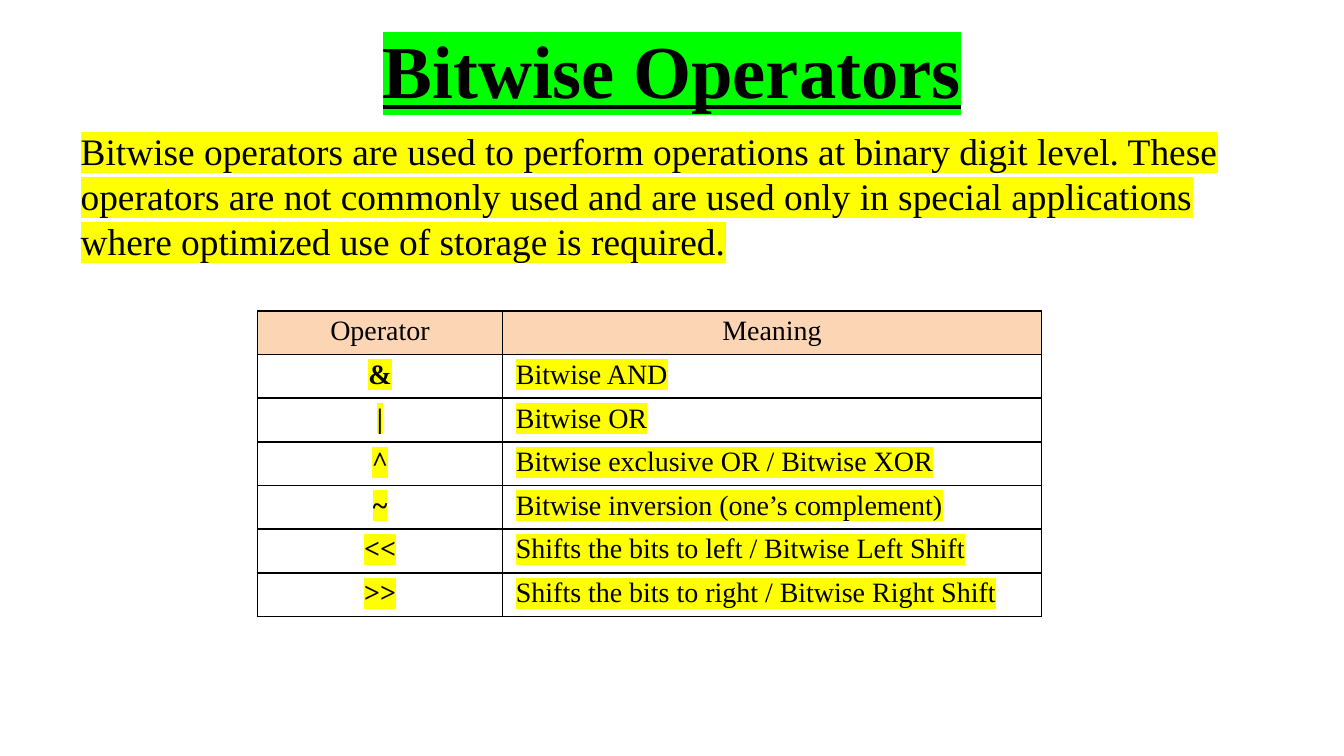
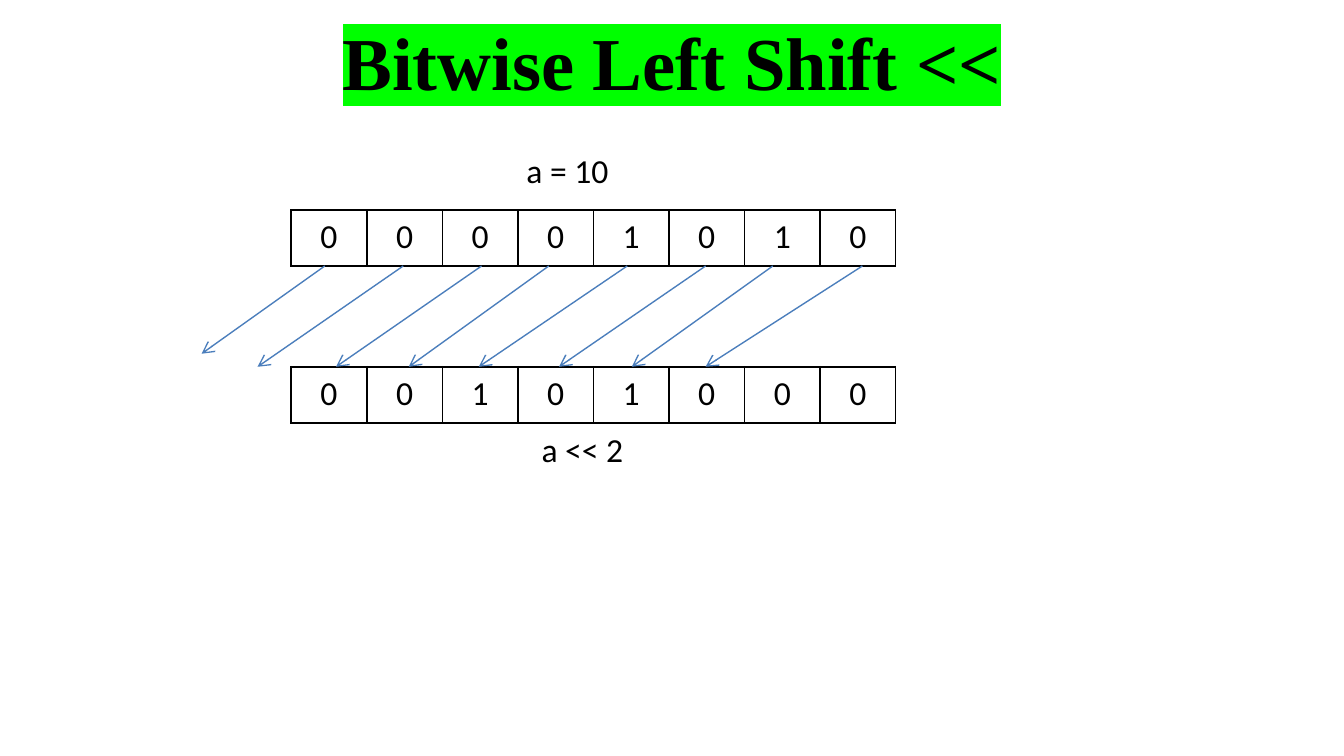
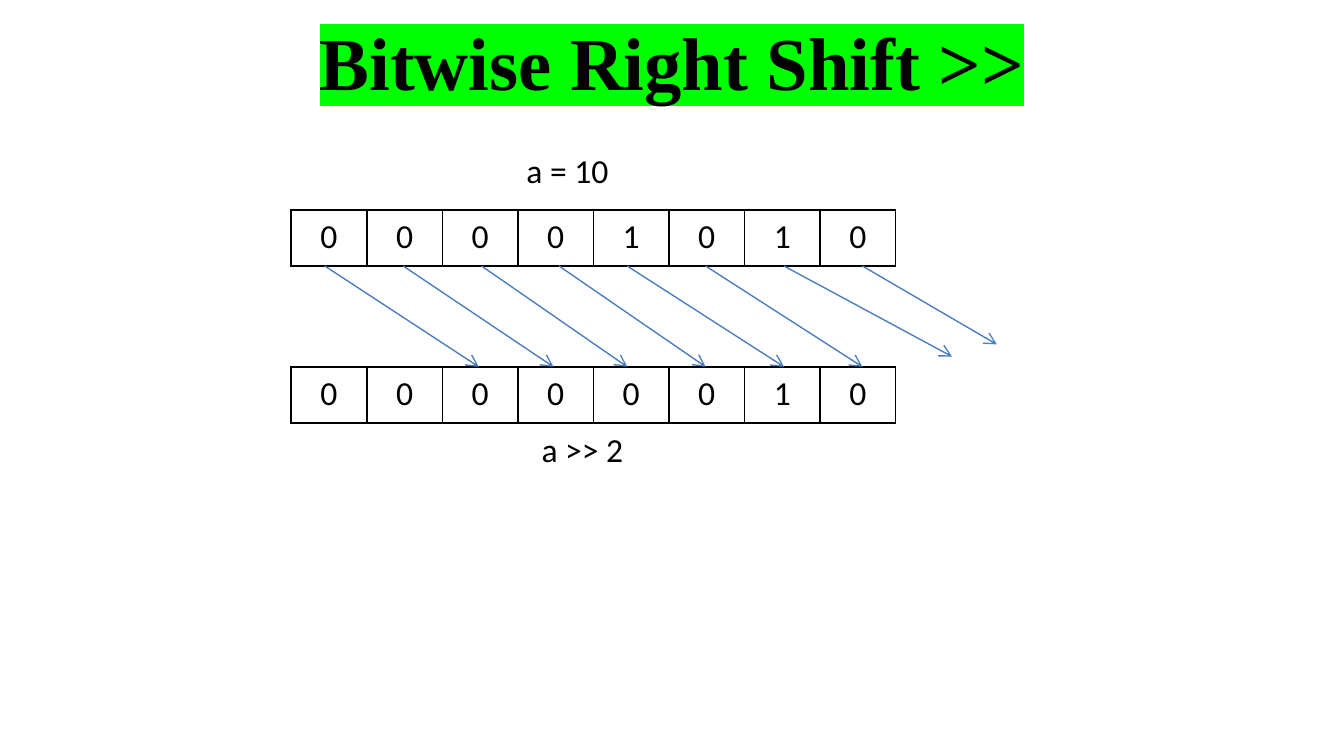
from lxml import etree
from pptx import Presentation
from pptx.dml.color import RGBColor
from pptx.enum import shapes, text
from pptx.oxml import ns
from pptx.util import Pt

BLACK = RGBColor(0x00, 0x00, 0x00)
GREEN = RGBColor(0x00, 0xFF, 0x00)
YELLOW = RGBColor(0xFF, 0xFF, 0x00)
PEACH = RGBColor(0xFC, 0xD5, 0xB5)
BLUE = RGBColor(0x4B, 0x7E, 0xBC)
SERIF = "Times New Roman"
SANS = "Calibri"
CENTER = text.PP_ALIGN.CENTER
LEFT = text.PP_ALIGN.LEFT
TITLE_AND_BODY, TITLE_ONLY = 1, 5

OPERATORS = [
    ("Operator", "Meaning"),
    ("&", "Bitwise AND"),
    ("|", "Bitwise OR"),
    ("^", "Bitwise exclusive OR / Bitwise XOR"),
    ("~", "Bitwise inversion (one’s complement)"),
    ("<<", "Shifts the bits to left / Bitwise Left Shift"),
    (">>", "Shifts the bits to right / Bitwise Right Shift"),
]
BITS_LEFT, BIT_WIDTH, BIT_HEIGHT = 156, 40.5, 30
BEFORE_TOP, AFTER_TOP = 112.5, 196.5

# Each arrow: start x, end x, end y
LEFT_ARROWS = [
    (174, 108, 189.5), (216, 138, AFTER_TOP), (258, 180, AFTER_TOP),
    (294, 219, AFTER_TOP), (336, 256.5, AFTER_TOP), (378, 299.5, AFTER_TOP),
    (414, 338.5, AFTER_TOP), (462, 378, AFTER_TOP),
]
RIGHT_ARROWS = [
    (462, 534, 184.5), (420, 510, 191), (378, 462, AFTER_TOP),
    (336, 420, AFTER_TOP), (299.5, 378, AFTER_TOP), (258, 336, AFTER_TOP),
    (216, 296.5, AFTER_TOP), (174, 256.5, AFTER_TOP),
]


def add_xml(parent, tag, **attributes):
    return etree.SubElement(parent, ns.qn(tag), attributes)


class Deck:
    """Shared style plus the slide being filled."""

    def __init__(self):
        self.file = Presentation()
        self.file.slide_width, self.file.slide_height = Pt(720), Pt(405)
        self.page = None

    def new_page(self, layout, title, top, underline=None):
        self.page = self.file.slides.add_slide(self.file.slide_layouts[layout])
        box = self.page.shapes.title
        self.place(box, 36, top, 648, 67.5)
        box.text_frame.vertical_anchor = text.MSO_ANCHOR.MIDDLE
        self.set_words(box.text_frame, title, 40, SERIF, CENTER,
                       bold=True, underline=underline, highlight=GREEN)

    def place(self, shape, left, top, width, height):
        shape.left, shape.top = Pt(left), Pt(top)
        shape.width, shape.height = Pt(width), Pt(height)

    def set_words(self, frame, words, size, name, align=LEFT, bold=False,
                  underline=None, highlight=None):
        frame.text = words
        para = frame.paragraphs[0]
        para.alignment = align
        span = para.runs[0]
        font = span.font
        font.size, font.name = Pt(size), name
        font.bold, font.underline = bold, underline
        font.color.rgb = BLACK
        if highlight is not None:
            mark = etree.Element(ns.qn("a:highlight"))
            add_xml(mark, "a:srgbClr", val=str(highlight))
            span._r.get_or_add_rPr().find(ns.qn("a:solidFill")).addnext(mark)

    def body(self, words):
        box = self.page.placeholders[1]
        self.place(box, 36, 65, 648, 120)
        self.set_words(box.text_frame, words, 20, SERIF, highlight=YELLOW)
        para = box.text_frame.paragraphs[0]
        properties = para._p.get_or_add_pPr()
        properties.set("marL", "0")
        properties.set("indent", "0")
        add_xml(properties, "a:buNone")
        para.space_before = Pt(0)

    def label(self, words, left, top, width):
        box = self.page.shapes.add_textbox(Pt(left), Pt(top), Pt(width), Pt(29))
        frame = box.text_frame
        frame.word_wrap = False
        frame.auto_size = text.MSO_AUTO_SIZE.SHAPE_TO_FIT_TEXT
        self.set_words(frame, words, 18, SANS)

    def table(self, left, top, widths, row_height, row_count):
        """Add a plain table with thin black borders and no cell fill."""
        table = self.page.shapes.add_table(
            row_count, len(widths), Pt(left), Pt(top),
            Pt(sum(widths)), Pt(row_height * row_count)).table
        table.first_row = table.horz_banding = False
        for column, width in zip(table.columns, widths):
            column.width = Pt(width)
        for row in table.rows:
            row.height = Pt(row_height)
        for cell in table.iter_cells():
            properties = cell._tc.get_or_add_tcPr()
            for side in ("a:lnL", "a:lnR", "a:lnT", "a:lnB"):
                edge = add_xml(properties, side, w=str(Pt(1)))
                add_xml(add_xml(edge, "a:solidFill"), "a:srgbClr", val=str(BLACK))
            cell.fill.background()
        return table

    def operator_table(self, rows):
        table = self.table(138, 166.5, (131.2, 288.8), 23.4, len(rows))
        for r, row in enumerate(rows):
            for c, words in enumerate(row):
                cell = table.cell(r, c)
                cell.margin_top = cell.margin_bottom = Pt(2.7)
                header, symbol = r == 0, c == 0
                if header:
                    cell.fill.solid()
                    cell.fill.fore_color.rgb = PEACH
                self.set_words(cell.text_frame, words, 15, SERIF,
                               CENTER if header or symbol else LEFT,
                               bold=symbol and not header,
                               highlight=None if header else YELLOW)

    def bits(self, digits, top):
        table = self.table(BITS_LEFT, top, [BIT_WIDTH] * len(digits), BIT_HEIGHT, 1)
        for cell, digit in zip(table.iter_cells(), digits):
            self.set_words(cell.text_frame, digit, 18, SANS, CENTER)

    def arrow(self, start_x, start_y, end_x, end_y):
        connector = self.page.shapes.add_connector(
            shapes.MSO_CONNECTOR.STRAIGHT,
            Pt(start_x), Pt(start_y), Pt(end_x), Pt(end_y))
        connector.line.color.rgb = BLUE
        connector.line.width = Pt(0.75)
        properties = connector._element.spPr
        add_xml(properties.find(ns.qn("a:ln")), "a:tailEnd", type="arrow")
        add_xml(properties, "a:effectLst")

    def shift_page(self, title, result, expression, arrows):
        self.new_page(TITLE_ONLY, title, -1.5)
        self.bits("00001010", BEFORE_TOP)
        self.label("a = 10", 275, 76.5, 61)
        self.bits(result, AFTER_TOP)
        self.label(expression, 283, 226.5, 59)
        for start_x, end_x, end_y in arrows:
            self.arrow(start_x, BEFORE_TOP + BIT_HEIGHT, end_x, end_y)


def main():
    deck = Deck()
    deck.new_page(TITLE_AND_BODY, "Bitwise Operators", 3, underline=True)
    deck.body("Bitwise operators are used to perform operations at binary digit "
              "level. These operators are not commonly used and are used only in "
              "special applications where optimized use of storage is required.")
    deck.operator_table(OPERATORS)
    deck.shift_page("Bitwise Left Shift <<", "00101000", "a << 2", LEFT_ARROWS)
    deck.shift_page("Bitwise Right Shift >>", "00000010", "a >> 2", RIGHT_ARROWS)
    deck.file.save("out.pptx")


if __name__ == "__main__":
    main()
